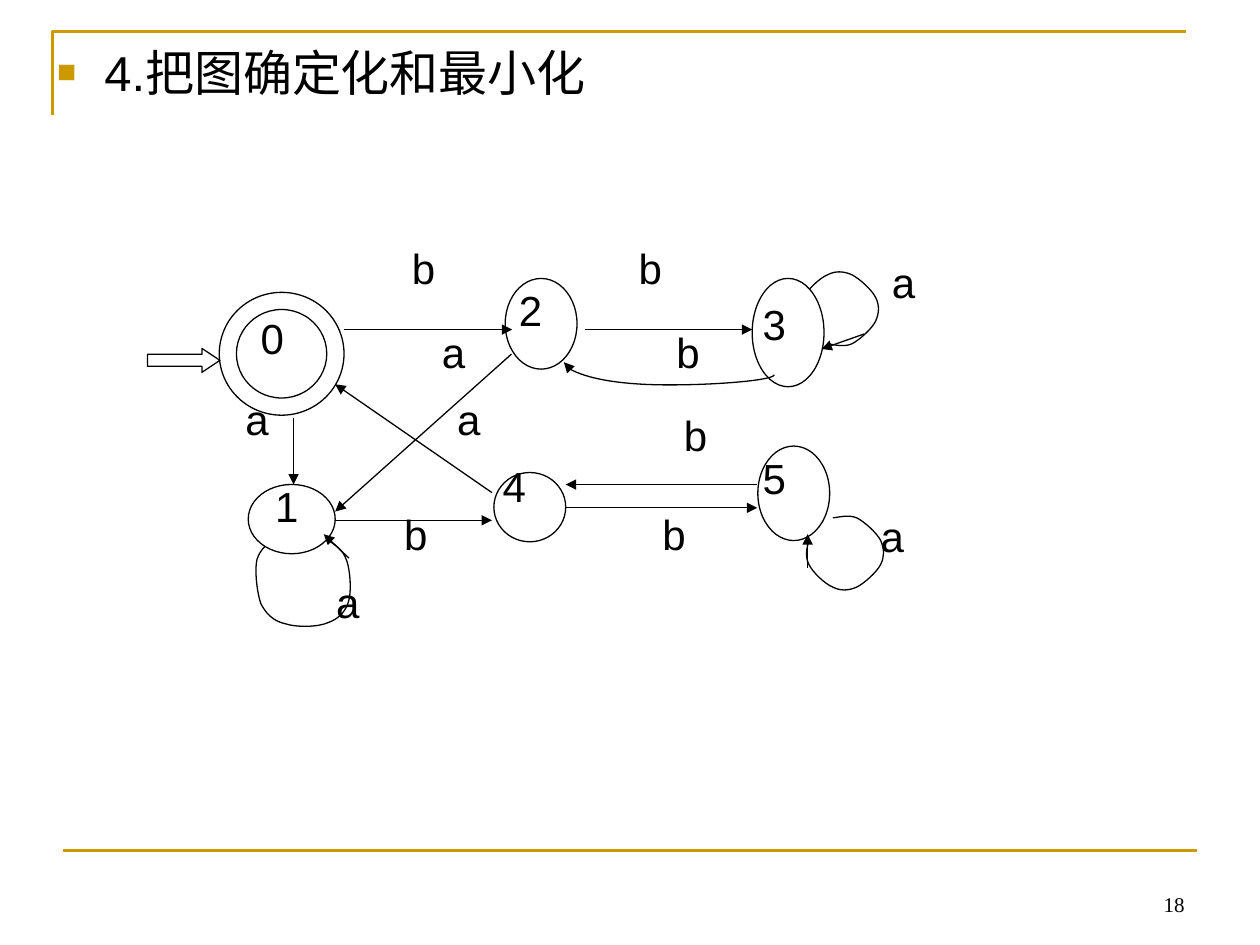
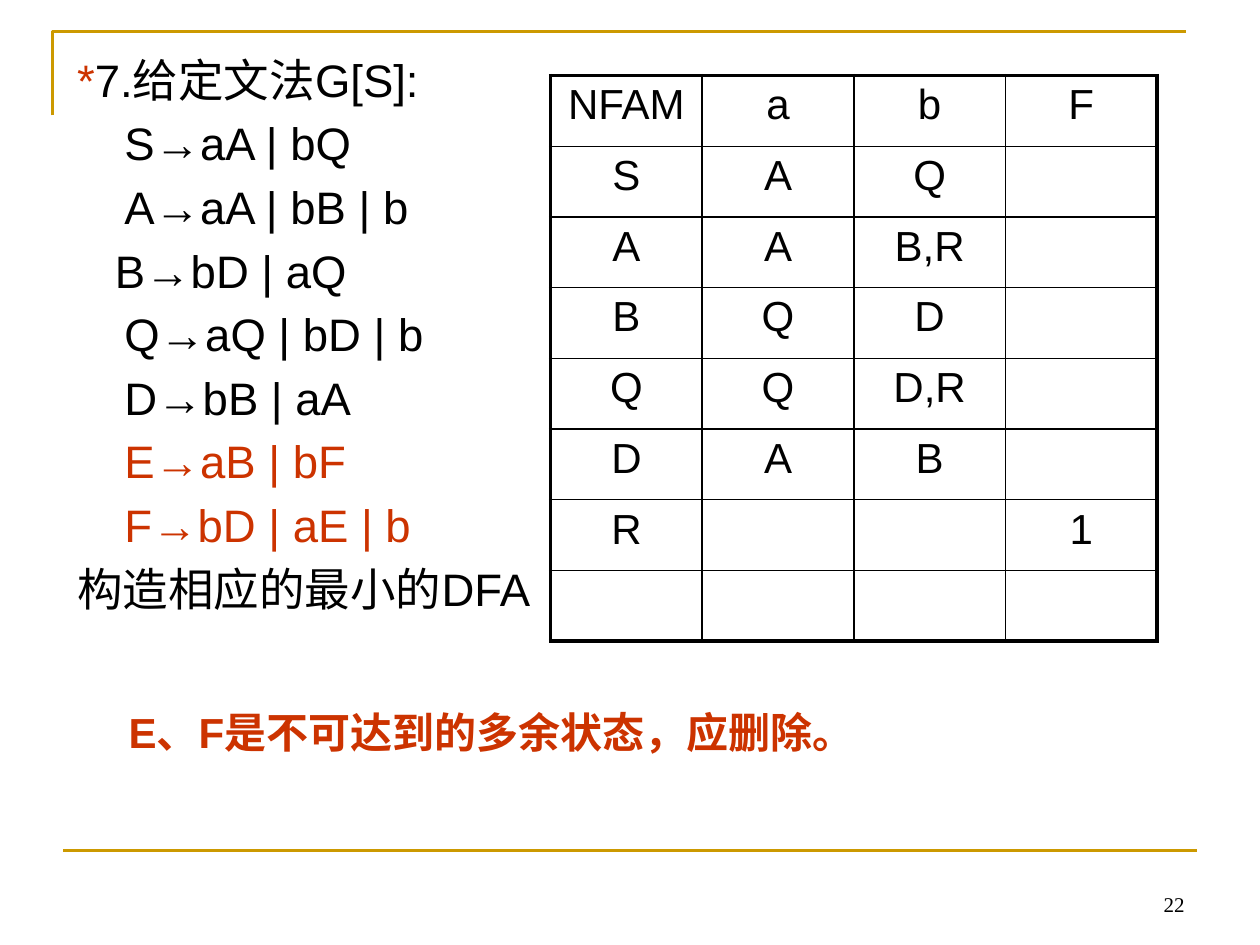
from dataclasses import dataclass

from lxml.etree import SubElement
from pptx import Presentation
from pptx.dml.color import RGBColor
from pptx.enum.shapes import MSO_CONNECTOR as LINK, MSO_SHAPE as SHAPE
from pptx.enum.text import MSO_ANCHOR as ANCHOR, MSO_AUTO_SIZE as AUTO, PP_ALIGN as ALIGN
from pptx.oxml.ns import qn
from pptx.util import Emu, Inches, Pt

# One grid step is a hundredth of the slide width: 100 columns by 75 rows.
COLS, ROWS = 100, 75
STEP = Inches(10) // COLS
COLORS = {"ink": "000000", "paper": "FFFFFF", "gold": "CC9900", "red": "CC3300"}
FONT, NUMBER_FONT = "Arial", "Times New Roman"

# Bezier outlines: a start point, then two handles and an end point per segment.
SIDE_LOOP = [(.3, 4), (.1, 3.3), (0, 2.7), (.3, 2.1), (.6, 1.5), (1.5, .6), (2.2, .3),
             (2.8, 0), (3.4, 0), (4.1, .3), (4.7, .6), (5.7, 1.5), (6, 2.1),
             (6.3, 2.7), (6.3, 3.3), (6, 4), (5.7, 4.6), (4.7, 5.5), (4.1, 5.8),
             (3.4, 6.1), (2.5, 5.8), (2.2, 5.8)]
LOWER_LOOP = [(2.1, .6), (1.4, 1.1), (.8, 1.5), (.5, 2.4), (.3, 3.3), (.5, 5), (.8, 5.9),
              (1.2, 6.7), (1.8, 7.3), (2.7, 7.5), (3.6, 7.8), (5.3, 7.8), (6.2, 7.4),
              (7, 7.1), (7.6, 6.5), (7.8, 5.6), (8, 4.8), (7.9, 3), (7.5, 2.2),
              (7.1, 1.3), (5.9, .8), (5.6, .5)]
LOOPS = [(53.5, 3.5, SIDE_LOOP),
         (53.9, 22.8, [(x, 6.1 - y) for x, y in SIDE_LOOP]),
         (9.9, 24, LOWER_LOOP)]

# State name: outline box, then the corner of its label.
STATES = {"0": ((7.4, 5.2, 9.9, 9.75), (9.7, 6.3)),
          "1": ((9.7, 20.45, 6.9, 5.5), (10.85, 19.65)),
          "2": ((30.1, 4.1, 5.7, 7.2), (30.2, 4.1)),
          "3": ((49.7, 4.1, 5.7, 8.6), (49.55, 5.2)),
          "4": ((29.2, 19.5, 5.7, 5.5), (28.9, 18.05)),
          "5": ((50.15, 17.4, 5.7, 7.5), (49.55, 17.4))}
EDGES = [(17.3, 8.16, 30.65, 8.16), (36.4, 8.16, 49.7, 8.16), (13.3, 15.2, 13.3, 20.45),
         (30.6, 10.1, 16.6, 22.6), (50.1, 20.46, 34.9, 20.46), (34.9, 22.3, 50.1, 22.3),
         (16.6, 23.3, 29.05, 23.3), (29.05, 21.1, 16.6, 12.5)]
LOOP_ENDS = [(54.1, 27.1, 54.1, 24.4), (58.6, 8.5, 55.2, 9.7), (17.7, 26.3, 15.7, 24.4)]
EDGE_LABELS = {"b": [(21.7, .75), (39.7, .75), (42.7, 7.4), (43.3, 14), (41.6, 21.9),
                     (21.1, 21.9)],
               "a": [(58.9, 22), (59.8, 1.9), (8.5, 12.75), (15.7, 27.3), (24.1, 7.4),
                     (25.3, 12.75)]}

# Grammar lines: left indent, then (text, colour) runs.
GRAMMAR = [(0, [("*", "red"), ("7.给定文法G[S]:", "ink")]),
           (3.75, [("S→aA | bQ", "ink")]),
           (3.75, [("A→aA | bB | b", "ink")]),
           (3, [("B→bD | aQ", "ink")]),
           (3.75, [("Q→aQ | bD | b", "ink")]),
           (3.75, [("D→bB | aA", "ink")]),
           (3.75, [("E→aB | bF", "red")]),
           (3.75, [("F→bD | aE | b", "red")]),
           (0, [("构造相应的最小的DFA", "ink")])]
NFA_ROWS = [["NFAM", "a", "b", "F"],
            ["S", "A", "Q", ""],
            ["A", "A", "B,R", ""],
            ["B", "Q", "D", ""],
            ["Q", "Q", "D,R", ""],
            ["D", "A", "B", ""],
            ["R", "", "", "1"],
            ["", "", "", ""]]


@dataclass
class Box:
    """A region in grid steps."""
    x: float
    y: float
    w: float
    h: float

    def sub(self, x, y, w, h):
        return Box(self.x + x, self.y + y, w, h)

    def point(self, x, y):
        return steps(self.x + x), steps(self.y + y)

    @property
    def emu(self):
        return tuple(steps(v) for v in (self.x, self.y, self.w, self.h))


def steps(n):
    return Emu(round(n * STEP))


def rgb(name):
    return RGBColor.from_string(COLORS[name])


def add_run(p, text, size, color="ink", font=FONT, bold=False):
    r = p.add_run()
    r.text = text
    r.font.size, r.font.name, r.font.bold = Pt(size), font, bold
    r.font.color.rgb = rgb(color)


def add_text(slide, box, text, size, align=ALIGN.LEFT, anchor=ANCHOR.TOP, **style):
    tf = slide.shapes.add_textbox(*box.emu).text_frame
    tf.word_wrap, tf.vertical_anchor = True, anchor
    p = tf.paragraphs[0]
    p.alignment = align
    add_run(p, text, size, **style)


def style_outline(sp, color="ink", width=.75, fill=None):
    sp.shadow.inherit = False
    sp.line.color.rgb, sp.line.width = rgb(color), Pt(width)
    if fill:
        sp.fill.solid()
        sp.fill.fore_color.rgb = rgb(fill)
    else:
        sp.fill.background()


def add_preset(slide, kind, box, *adjustments):
    sp = slide.shapes.add_shape(kind, *box.emu)
    style_outline(sp, fill="paper")
    for i, value in enumerate(adjustments):
        sp.adjustments[i] = value


def add_outline(slide, points, **style):
    """Draw an open outline through points given in EMU."""
    builder = slide.shapes.build_freeform(*points[0], scale=1.0)
    builder.add_line_segments(points[1:], close=False)
    sp = builder.convert_to_shape()
    style_outline(sp, **style)
    return sp


def add_curve(slide, points):
    """Draw an open outline, then join each three steps into one Bezier segment."""
    sp = add_outline(slide, points)
    outline = next(sp._element.iter(qn("a:path")))
    lines = outline.findall(qn("a:lnTo"))
    for i in range(0, len(lines), 3):
        segment = SubElement(outline, qn("a:cubicBezTo"))
        for line in lines[i:i + 3]:
            segment.append(line[0])
            outline.remove(line)


def add_link(slide, start, end, color="ink", width=.75, arrow=True, kind=LINK.STRAIGHT):
    link = slide.shapes.add_connector(kind, *start, *end)
    link.line.color.rgb, link.line.width = rgb(color), Pt(width)
    sp_pr = link._element.spPr
    if arrow:
        SubElement(sp_pr.find(qn("a:ln")), qn("a:tailEnd"), type="triangle")
    SubElement(sp_pr, qn("a:effectLst"))
    return link


def add_frame(slide, box, number):
    """Draw the corner rule, the footer rule and the page number."""
    corner = [box.point(4.17, 9.17), box.point(4.17, 2.5), box.point(94.17, 2.5)]
    add_outline(slide, corner, color="gold", width=1.5)
    add_link(slide, box.point(5, 67.5), box.point(95, 67.5), "gold", 1.5, arrow=False)
    add_text(slide, box.sub(71.67, 68.25, 23.33, 5), str(number), 12, ALIGN.RIGHT,
             ANCHOR.BOTTOM, font=NUMBER_FONT)


def add_body(slide, box, lines, size, gap=0, bullet=False):
    sp = slide.placeholders[1]
    sp.left, sp.top, sp.width, sp.height = box.emu
    tf = sp.text_frame
    tf.auto_size = AUTO.NONE
    for i, (indent, runs) in enumerate(lines):
        p = tf.add_paragraph() if i else tf.paragraphs[0]
        p.space_before = Pt(gap if i else 0)
        p_pr = p._p.get_or_add_pPr()
        p_pr.set("marL", str(steps(indent)))
        p_pr.set("indent", str(-steps(indent) if bullet else 0))
        if bullet:
            SubElement(SubElement(p_pr, qn("a:buClr")), qn("a:srgbClr"), val=COLORS["gold"])
            SubElement(p_pr, qn("a:buSzPct"), val="65000")
            SubElement(p_pr, qn("a:buFont"), typeface=FONT)
            SubElement(p_pr, qn("a:buChar"), char="■")
        else:
            SubElement(p_pr, qn("a:buNone"))
        for text, color in runs:
            add_run(p, text, size, color)


def add_automaton(slide, box):
    for x, y, nodes in LOOPS:
        corner = box.sub(x, y, 0, 0)
        add_curve(slide, [corner.point(*n) for n in nodes])
    for name, (outline, label) in STATES.items():
        if name == "0":
            add_preset(slide, SHAPE.DONUT, box.sub(*outline), .14)
        else:
            add_preset(slide, SHAPE.OVAL, box.sub(*outline))
        add_text(slide, box.sub(*label, 5.6, 7), name, 24)
    add_preset(slide, SHAPE.RIGHT_ARROW, box.sub(1.7, 9.65, 5.75, 1.9), .5, .75)
    for x1, y1, x2, y2 in EDGES + LOOP_ENDS:
        add_link(slide, box.point(x1, y1), box.point(x2, y2))
    add_return_edge(slide, box)
    for text, corners in EDGE_LABELS.items():
        for corner in corners:
            add_text(slide, box.sub(*corner, 5.6, 7), text, 24)


def add_return_edge(slide, box):
    """Bend an arrow from state 3 below the row and back to state 2."""
    link = add_link(slide, box.point(42.6, 19.6), box.point(43.6, 2.9), kind=LINK.CURVE)
    sp_pr = link._element.spPr
    sp_pr.find(qn("a:xfrm")).set("rot", str(270 * 60000))
    guides = sp_pr.find(qn("a:prstGeom")).find(qn("a:avLst"))
    SubElement(guides, qn("a:gd"), name="adj1", fmla="val -80500")


def set_borders(cell, widths):
    tc_pr = cell._tc.get_or_add_tcPr()
    for side, width in zip("LRTB", widths):
        ln = SubElement(tc_pr, qn("a:ln" + side), w=str(Pt(width)))
        SubElement(SubElement(ln, qn("a:solidFill")), qn("a:srgbClr"), val=COLORS["ink"])


def add_nfa_table(slide, box, rows):
    n_rows, n_cols = len(rows), len(rows[0])
    table = slide.shapes.add_table(n_rows, n_cols, *box.emu).table
    table.first_row = table.horz_banding = False
    for i, row in enumerate(rows):
        for j, text in enumerate(row):
            cell = table.cell(i, j)
            edges = (j == 0, j == n_cols - 1, i == 0, i == n_rows - 1)
            set_borders(cell, [2.25 if outer else 1 for outer in edges])
            cell.fill.background()
            if text:
                p = cell.text_frame.paragraphs[0]
                p.alignment = ALIGN.CENTER
                add_run(p, text, 24)


def new_slide(prs, number):
    slide = prs.slides.add_slide(prs.slide_layouts[1])
    title = slide.shapes.title._element
    title.getparent().remove(title)
    add_frame(slide, Box(0, 0, COLS, ROWS), number)
    return slide


def build_automaton_slide(prs):
    slide = new_slide(prs, 18)
    heading = [(3.75, [("4.把图确定化和最小化", "ink")])]
    add_body(slide, Box(3.54, 2.85, 92.1, 9.8), heading, 28, bullet=True)
    add_automaton(slide, Box(10, 18, 66, 35))


def build_grammar_slide(prs):
    slide = new_slide(prs, 22)
    add_body(slide, Box(5.12, 3.6, 44.2, 49.5), GRAMMAR, 26, gap=5.2)
    add_nfa_table(slide, Box(43.7, 6, 48.13, 44.9), NFA_ROWS)
    add_text(slide, Box(6.7, 55.6, 64.6, 5), "E、F是不可达到的多余状态，应删除。", 24,
             ALIGN.CENTER, color="red", bold=True)


def main():
    prs = Presentation()
    prs.slide_width, prs.slide_height = steps(COLS), steps(ROWS)
    build_automaton_slide(prs)
    build_grammar_slide(prs)
    prs.save("out.pptx")


if __name__ == "__main__":
    main()
